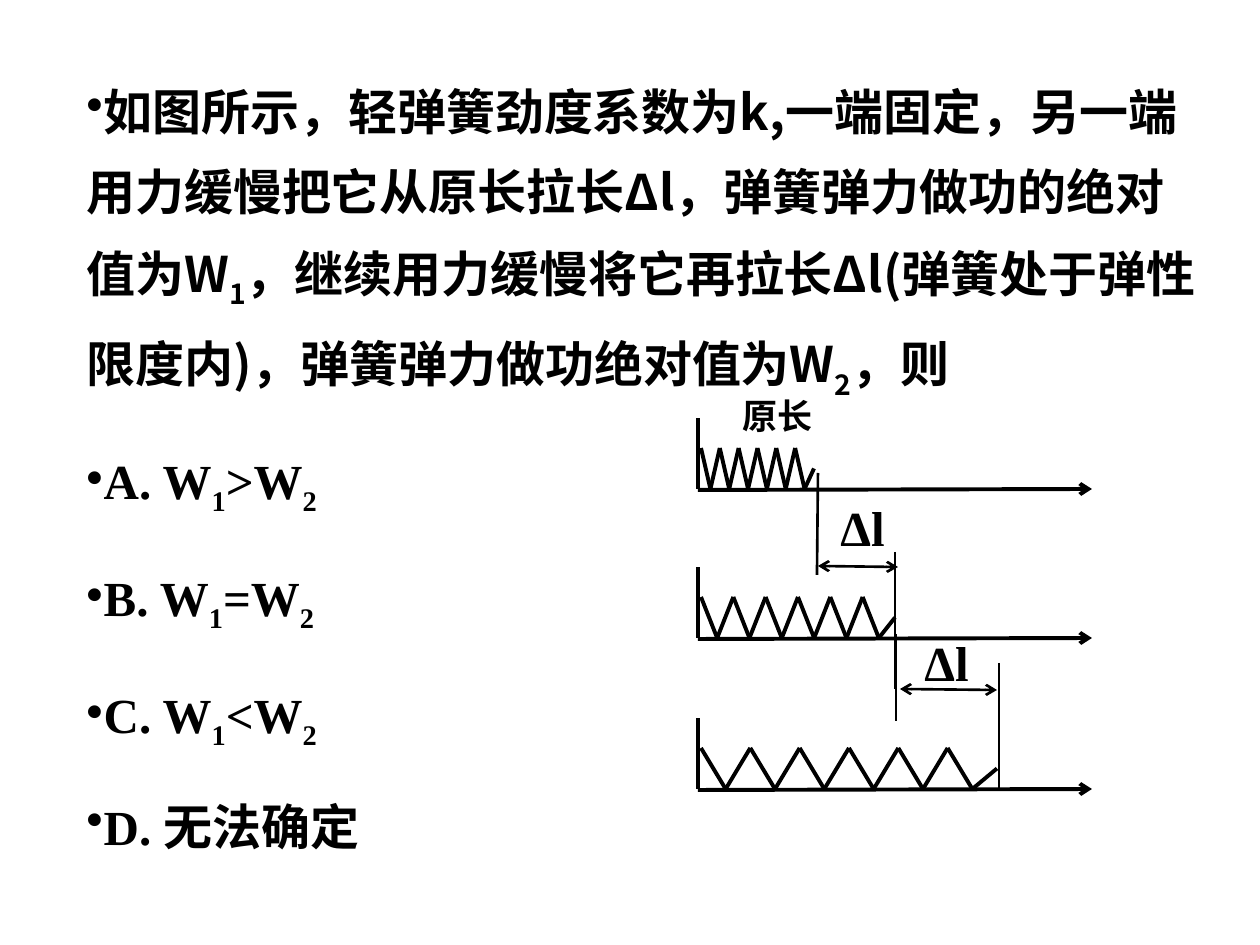
from lxml import etree
from pptx import Presentation, util as u
from pptx.dml.color import RGBColor
from pptx.enum import shapes as s
from pptx.oxml.ns import qn

PX = 914400 / 126
COLORS = {"ink": "000000"}
HAN, LATIN = "Noto Sans CJK SC", "Times New Roman"

# "_" marks the next character as a subscript
QUESTION = ("如图所示，轻弹簧劲度系数为k,一端固定，另一端用力缓慢把它从原长拉长Δl，"
            "弹簧弹力做功的绝对值为W_1，继续用力缓慢将它再拉长Δl(弹簧处于弹性限度内)，"
            "弹簧弹力做功绝对值为W_2，则")
OPTIONS = ["A. W_1>W_2", "B. W_1=W_2", "C. W_1<W_2", "D. 无法确定"]
BODY_BOX = (74, 55, 1134, 624)

WALL_X, AXIS_END, WALL_HEIGHT = 698, 1092, 71
COIL_X, COIL_HEIGHT, COIL_TURNS = 701, 41, 6
SPRINGS = [(489, 814), (638, 895), (789, 997)]  # axis y, spring end x
MARKS = [(818, 473, 817, 575), (895, 552, 895, 689),
         (896, 634, 896, 721), (999, 663, 999, 788)]
EXTENSIONS = [(898, 567, 818, 566), (997, 690, 900, 689)]
LABELS = [("原长", (730, 388, 97, 55), 20, HAN),
          ("Δl", (828, 491, 71, 72), 28, LATIN),
          ("Δl", (912, 626, 71, 72), 28, LATIN)]


def px(*values):
    return [u.Emu(round(v * PX)) for v in values]


def style(paragraph, size, face):
    font = paragraph.font
    font.size, font.bold, font.name = u.Pt(size), True, face
    font.color.rgb = RGBColor.from_string(COLORS["ink"])
    defaults = paragraph._p.pPr.find(qn("a:defRPr"))
    etree.SubElement(defaults, qn("a:ea")).set("typeface", HAN)


def add_marked_text(paragraph, marked):
    """Add runs, lowering each character that follows an underscore."""
    first, *rest = marked.split("_")
    paragraph.add_run().text = first
    for piece in rest:
        subscript = paragraph.add_run()
        subscript.text = piece[0]
        subscript._r.get_or_add_rPr().set("baseline", "-25000")
        if piece[1:]:
            paragraph.add_run().text = piece[1:]


def add_line(parent, ends, width, arrows=()):
    line = parent.add_connector(s.MSO_CONNECTOR.STRAIGHT, *px(*ends))
    line.line.width = u.Pt(width)
    line.line.color.rgb = RGBColor.from_string(COLORS["ink"])
    for end in arrows:
        etree.SubElement(line.line._get_or_add_ln(), qn(f"a:{end}")).set("type", "arrow")
    etree.SubElement(line._element.spPr, qn("a:effectLst"))


def add_body(slide):
    frame = slide.shapes.add_textbox(*px(*BODY_BOX)).text_frame
    frame.word_wrap = True
    for i, marked in enumerate([QUESTION, *OPTIONS]):
        paragraph = frame.add_paragraph() if i else frame.paragraphs[0]
        paragraph.line_spacing = 1.6 if i else 1.35
        if i:
            paragraph.space_before = u.Pt(5.6)
        properties = paragraph._p.get_or_add_pPr()
        properties.set("marL", "0")
        properties.set("indent", "-342900")
        etree.SubElement(properties, qn("a:buChar")).set("char", "•")
        style(paragraph, 28, LATIN if i else HAN)
        add_marked_text(paragraph, marked)


def add_spring(slide, axis_y, end_x):
    add_line(slide.shapes, (WALL_X, axis_y + 1, AXIS_END, axis_y), 2.25, ["tailEnd"])
    add_line(slide.shapes, (WALL_X, axis_y, WALL_X, axis_y - WALL_HEIGHT), 2.25)
    coil = slide.shapes.add_group_shape().shapes
    half_turn = (end_x - COIL_X) / (2 * COIL_TURNS)
    points = [(COIL_X + i * half_turn, axis_y - (0 if i % 2 else COIL_HEIGHT))
              for i in range(2 * COIL_TURNS)]
    points.append((end_x, axis_y - COIL_HEIGHT / 2))
    for start, end in zip(points, points[1:]):
        add_line(coil, (*start, *end), 2.25)


def main():
    deck = Presentation()
    deck.slide_width, deck.slide_height = u.Inches(10), u.Inches(7.5)
    slide = deck.slides.add_slide(deck.slide_layouts[6])
    add_body(slide)
    for axis_y, end_x in SPRINGS:
        add_spring(slide, axis_y, end_x)
    for mark in MARKS:
        add_line(slide.shapes, mark, 1.5)
    for extension in EXTENSIONS:
        add_line(slide.shapes, extension, 1.5, ["headEnd", "tailEnd"])
    for label, box, size, face in LABELS:
        frame = slide.shapes.add_textbox(*px(*box)).text_frame
        frame.word_wrap = False
        paragraph = frame.paragraphs[0]
        paragraph.add_run().text = label
        style(paragraph, size, face)
    deck.save("out.pptx")


if __name__ == "__main__":
    main()
